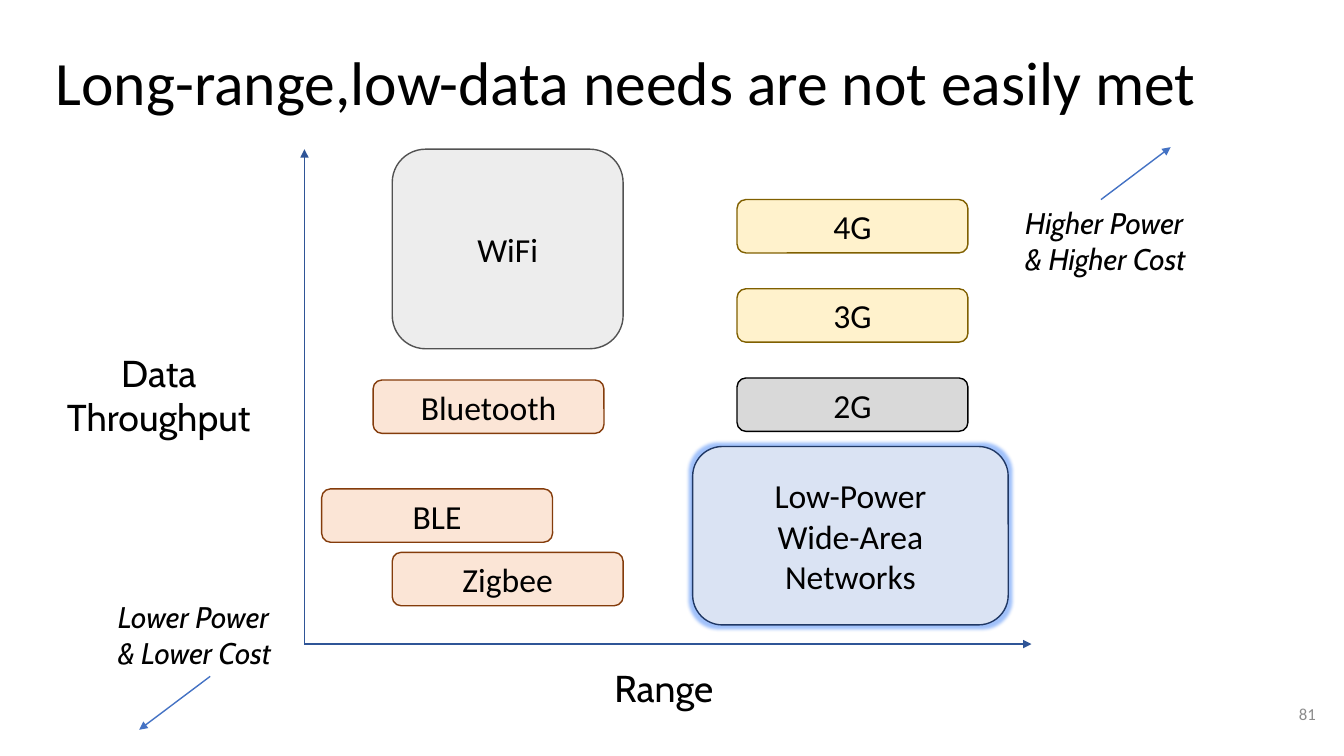
from dataclasses import dataclass

from lxml import etree
from pptx import Presentation
from pptx.dml.color import RGBColor
from pptx.enum.shapes import MSO_CONNECTOR, MSO_SHAPE
from pptx.enum.text import MSO_ANCHOR, MSO_AUTO_SIZE, PP_ALIGN
from pptx.oxml.ns import qn
from pptx.util import Inches, Pt

STRAIGHT = MSO_CONNECTOR.STRAIGHT
ROUNDED = MSO_SHAPE.ROUNDED_RECTANGLE
LEFT, CENTER, RIGHT = PP_ALIGN.LEFT, PP_ALIGN.CENTER, PP_ALIGN.RIGHT
TOP, MIDDLE = MSO_ANCHOR.TOP, MSO_ANCHOR.MIDDLE
FIXED = MSO_AUTO_SIZE.NONE
BOTTOM_SIDE = 2

BLACK = RGBColor(0x00, 0x00, 0x00)
PAGE_GRAY = RGBColor(0x8C, 0x8C, 0x8C)
AXIS_BLUE = RGBColor(0x2F, 0x55, 0x97)
TREND_BLUE = RGBColor(0x44, 0x72, 0xC4)
PEACH, BROWN = RGBColor(0xFB, 0xE5, 0xD6), RGBColor(0x84, 0x3C, 0x0B)
CREAM, OLIVE = RGBColor(0xFF, 0xF2, 0xCC), RGBColor(0x80, 0x60, 0x00)
PALE_GRAY, DARK_GRAY = RGBColor(0xED, 0xED, 0xED), RGBColor(0x52, 0x52, 0x52)
PALE_BLUE, NAVY = RGBColor(0xDA, 0xE3, 0xF3), RGBColor(0x20, 0x38, 0x64)
SILVER = RGBColor(0xD9, 0xD9, 0xD9)

BODY_FONT, LABEL_FONT = "Calibri", "Cabin"
BAND_W, BAND_H = 2.29, 0.53
CELL_X, CELL_TOP, CELL_STEP = 7.31, 1.98, 0.885
ORIGIN = (3.02, 6.39)


@dataclass(frozen=True)
class Technology:
    name: str
    x: float
    y: float
    fill: RGBColor
    outline: RGBColor
    w: float = BAND_W
    h: float = BAND_H
    glows: bool = False


@dataclass(frozen=True)
class Label:
    text: str
    x: float
    y: float
    w: float
    h: float
    size: float
    font: str = LABEL_FONT
    color: RGBColor = BLACK
    align: PP_ALIGN = CENTER
    anchor: MSO_ANCHOR = TOP
    italic: bool = False


@dataclass(frozen=True)
class Arrow:
    start: tuple[float, float]
    end: tuple[float, float]
    color: RGBColor


CELLULAR = [("4G", CREAM, OLIVE), ("3G", CREAM, OLIVE), ("2G", SILVER, BLACK)]
TECHNOLOGIES = [
    Technology("Bluetooth", 3.7, 3.77, PEACH, BROWN),
    Technology("WiFi", 3.89, 1.48, PALE_GRAY, DARK_GRAY, h=1.98),
    Technology("BLE", 3.19, 4.85, PEACH, BROWN),
    Technology("Zigbee", 3.89, 5.48, PEACH, BROWN),
    Technology("Low-Power\vWide-Area Networks", 6.87, 4.43, PALE_BLUE, NAVY,
               w=3.13, h=1.77, glows=True),
] + [Technology(name, CELL_X, CELL_TOP + row * CELL_STEP, fill, outline)
     for row, (name, fill, outline) in enumerate(CELLULAR)]

AXES = [Arrow(ORIGIN, (3.02, 1.48), AXIS_BLUE),
        Arrow(ORIGIN, (10.23, 6.39), AXIS_BLUE)]
LOWER_TREND = Arrow((2.1, 6.71), (1.38, 7.24), TREND_BLUE)
HIGHER_TREND = Arrow((10.92, 1.98), (11.61, 1.46), TREND_BLUE)

LABELS = [
    Label("81", 12.35, 6.8, 0.8, 0.57, 12, BODY_FONT, PAGE_GRAY, RIGHT, MIDDLE),
    Label("Data\nThroughput", 0.45, 3.42, 2.25, 1, 26.7),
    Label("Range", 5.58, 6.55, 2.01, 0.55, 26.7),
    Label("Higher Power\v& Higher Cost", 10.07, 1.98, 2.16, 0.82, 21.3,
          align=LEFT, italic=True),
]
LOWER_COST = Label("Lower Power\v& Lower Cost", 1.07, 5.89, 2.03, 0.82, 21.3,
                   align=LEFT, italic=True)


def write(frame, text: str, size: float, font: str, color: RGBColor = BLACK,
          align: PP_ALIGN = CENTER, anchor: MSO_ANCHOR = MIDDLE,
          italic: bool = False) -> None:
    frame.text = text
    frame.word_wrap = True
    frame.auto_size = FIXED
    frame.vertical_anchor = anchor
    for paragraph in frame.paragraphs:
        paragraph.alignment = align
        paragraph.font.size = Pt(size)
        paragraph.font.name = font
        paragraph.font.color.rgb = color
        paragraph.font.italic = italic


def add_glow(shape) -> None:
    effects = shape._element.spPr.find(qn("a:effectLst"))
    glow = etree.SubElement(effects, qn("a:glow"), rad=str(Pt(5)))
    color = etree.SubElement(glow, qn("a:srgbClr"), val=str(TREND_BLUE))
    etree.SubElement(color, qn("a:satMod"), val="175000")
    etree.SubElement(color, qn("a:alpha"), val="40000")


def add_technology(slide, tech: Technology) -> None:
    box = slide.shapes.add_shape(ROUNDED, Inches(tech.x), Inches(tech.y),
                                 Inches(tech.w), Inches(tech.h))
    box.shadow.inherit = False
    box.fill.solid()
    box.fill.fore_color.rgb = tech.fill
    box.line.color.rgb = tech.outline
    box.line.width = Pt(1)
    write(box.text_frame, tech.name, 24, BODY_FONT)
    if tech.glows:
        add_glow(box)


def add_label(slide, label: Label):
    box = slide.shapes.add_textbox(Inches(label.x), Inches(label.y),
                                   Inches(label.w), Inches(label.h))
    write(box.text_frame, label.text, label.size, label.font, label.color,
          label.align, label.anchor, label.italic)
    return box


def add_arrow(slide, arrow: Arrow):
    line = slide.shapes.add_connector(
        STRAIGHT, *(Inches(v) for v in arrow.start + arrow.end))
    line.line.color.rgb = arrow.color
    line.line.width = Pt(1)
    etree.SubElement(line.line._get_or_add_ln(), qn("a:tailEnd"), type="triangle")
    etree.SubElement(line._element.spPr, qn("a:effectLst"))
    return line


def add_title(slide, text: str) -> None:
    title = slide.shapes.title
    title.left, title.top = Inches(0.45), Inches(0.43)
    title.width, title.height = Inches(12.42), Inches(0.84)
    write(title.text_frame, text, 44, BODY_FONT, align=LEFT)
    title.text_frame.paragraphs[0].line_spacing = 0.9


def main() -> None:
    deck = Presentation()
    deck.slide_width, deck.slide_height = Inches(13.33), Inches(7.5)
    slide = deck.slides.add_slide(deck.slide_layouts[5])
    add_title(slide, "Long-range,low-data needs are not easily met")
    for axis in AXES:
        add_arrow(slide, axis)
    for tech in TECHNOLOGIES:
        add_technology(slide, tech)
    for label in LABELS:
        add_label(slide, label)
    add_arrow(slide, HIGHER_TREND)
    lower_cost = add_label(slide, LOWER_COST)
    add_arrow(slide, LOWER_TREND).begin_connect(lower_cost, BOTTOM_SIDE)
    deck.save("out.pptx")


if __name__ == "__main__":
    main()
